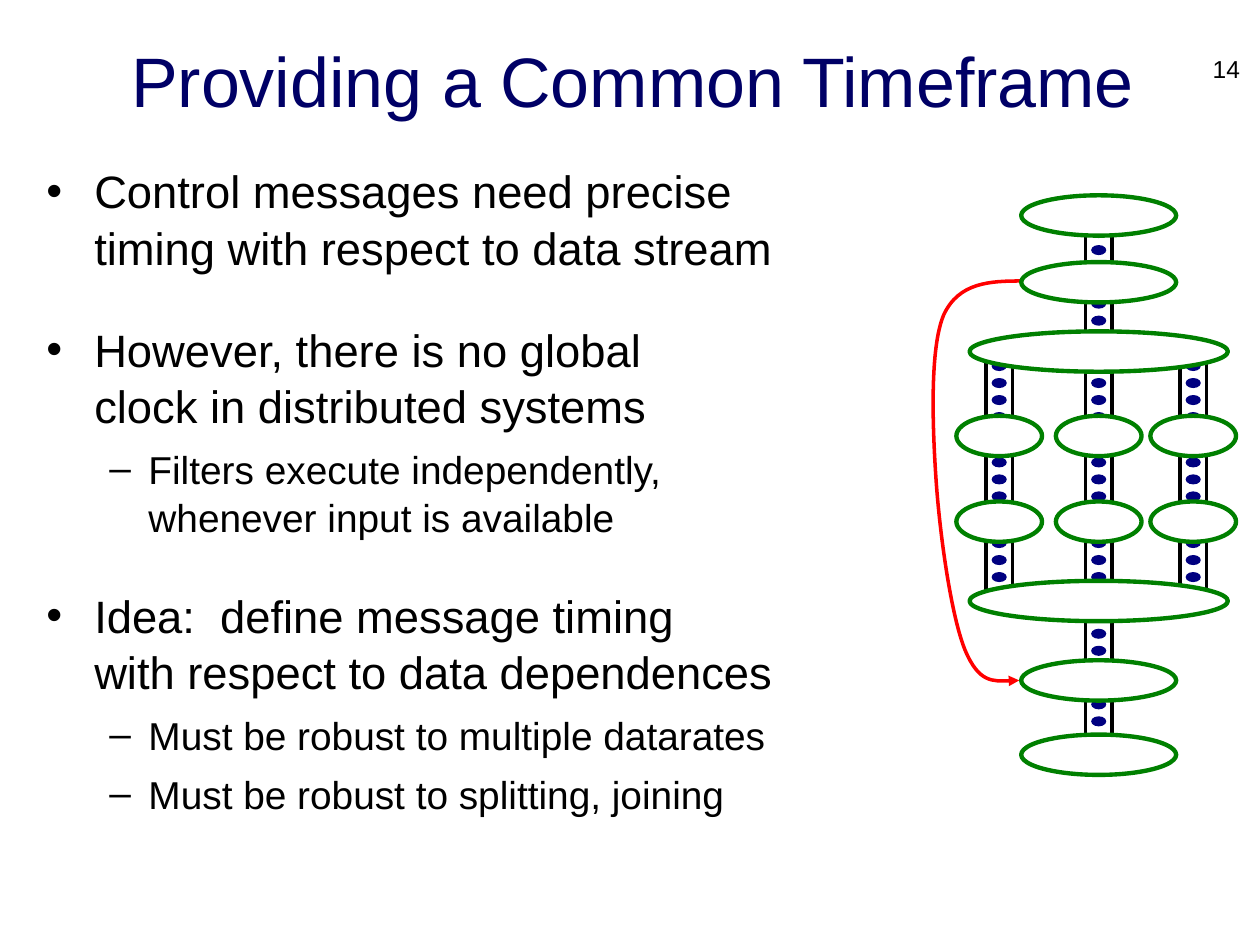
import pptx
import pptx.dml.color
import pptx.enum.shapes
import pptx.enum.text
import pptx.oxml.ns
import pptx.util
from lxml import etree

Inches = pptx.util.Inches
Pt = pptx.util.Pt
RGBColor = pptx.dml.color.RGBColor
SHAPE = pptx.enum.shapes.MSO_SHAPE
ALIGN = pptx.enum.text.PP_ALIGN
ANCHOR = pptx.enum.text.MSO_ANCHOR
qn = pptx.oxml.ns.qn

NAVY = RGBColor(0x00, 0x00, 0x66)
BLACK = RGBColor(0x00, 0x00, 0x00)
WHITE = RGBColor(0xFF, 0xFF, 0xFF)
GREEN = RGBColor(0x00, 0x80, 0x00)
DATA_BLUE = RGBColor(0x00, 0x00, 0x80)
RED = RGBColor(0xFF, 0x00, 0x00)

LEFT, MIDDLE, RIGHT = COLUMNS = (7.93, 8.72, 9.47)
FILTER_HEIGHT = 0.32
FILTER_WIDTH, BRANCH_WIDTH, SPLITTER_WIDTH = 1.23, 0.68, 2.05
DOT_STEP = 0.135

BULLETS = [
    (0, 0, ["Control messages need precise", "timing with respect to data stream"]),
    (0, 26, ["However, there is no global", "clock in distributed systems"]),
    (1, 6, ["Filters execute independently,", "whenever input is available"]),
    (0, 26, ["Idea:  define message timing", "with respect to data dependences"]),
    (1, 6, ["Must be robust to multiple datarates"]),
    (1, 6, ["Must be robust to splitting, joining"]),
]
LEVELS = [("•", 25.9, 0.38, -0.38), ("–", 22.2, 0.81, -0.31)]

CHANNELS = [(MIDDLE, top, 0) for top in (1.66, 2.22)]
CHANNELS += [(x, top, 0) for top in (2.85, 3.48, 4.12) for x in COLUMNS]
CHANNELS += [(MIDDLE, 5.4, 1), (MIDDLE, 4.84, 0)]

FILTERS = [(MIDDLE, top, FILTER_WIDTH) for top in (1.55, 2.08, 5.24, 5.83)]
FILTERS += [(MIDDLE, top, SPLITTER_WIDTH) for top in (2.63, 4.61)]
FILTERS += [(x, top, BRANCH_WIDTH) for top in (3.3, 3.98) for x in COLUMNS]

MESSAGE_START = (8.11, 2.23)
MESSAGE_CURVE = [
    (7.86, 2.23), (7.61, 2.24), (7.49, 2.5),
    (7.38, 2.76), (7.4, 3.37), (7.43, 3.81),
    (7.46, 4.25), (7.55, 4.89), (7.66, 5.16),
    (7.77, 5.42), (7.93, 5.41), (8.09, 5.4),
]


class SlideBuilder:
    font = "Arial"

    def __init__(self, page):
        self.page = page

    def span(self, para, text, size, color):
        span = para.add_run()
        span.text = text
        span.font.name = self.font
        span.font.size = Pt(size)
        span.font.color.rgb = color

    def title(self, text, left, top, width, height):
        box = self.page.shapes.title
        box.left, box.top = Inches(left), Inches(top)
        box.width, box.height = Inches(width), Inches(height)
        frame = box.text_frame
        frame.auto_size = pptx.enum.text.MSO_AUTO_SIZE.NONE
        frame.vertical_anchor = ANCHOR.MIDDLE
        para = frame.paragraphs[0]
        para.alignment = ALIGN.CENTER
        self.span(para, text, 40, NAVY)

    def text_frame(self, left, top, width, height):
        box = self.page.shapes.add_textbox(
            Inches(left), Inches(top), Inches(width), Inches(height))
        box.text_frame.word_wrap = True
        return box.text_frame

    def label(self, text, left, top, width, height):
        para = self.text_frame(left, top, width, height).paragraphs[0]
        para.alignment = ALIGN.RIGHT
        self.span(para, text, 14, BLACK)

    def bullets(self, items, left, top, width, height):
        frame = self.text_frame(left, top, width, height)
        for index, (level, space, lines) in enumerate(items):
            para = frame.add_paragraph() if index else frame.paragraphs[0]
            mark, size, margin, indent = LEVELS[level]
            para.level = level
            properties = para._p.get_or_add_pPr()
            properties.set("marL", str(Inches(margin)))
            properties.set("indent", str(Inches(indent)))
            etree.SubElement(properties, qn("a:buFont"), typeface=self.font)
            etree.SubElement(properties, qn("a:buChar"), char=mark)
            para.line_spacing = 1.04
            para.space_before = Pt(space)
            for number, line in enumerate(lines):
                if number:
                    para.add_line_break()
                self.span(para, line, size, BLACK)

    def shape(self, kind, center, top, width, height, fill, line=None, weight=0):
        shape = self.page.shapes.add_shape(
            kind, Inches(center - width / 2), Inches(top), Inches(width), Inches(height))
        shape.shadow.inherit = False
        shape.fill.solid()
        shape.fill.fore_color.rgb = fill
        if line is None:
            shape.line.fill.background()
        else:
            shape.line.color.rgb = line
            shape.line.width = Pt(weight)

    def channel(self, center, top, first_dot):
        self.shape(SHAPE.RECTANGLE, center, top, 0.21, 0.59, WHITE, BLACK, 2)
        for index in range(first_dot, 6):
            self.shape(SHAPE.OVAL, center, top - 0.12 + index * DOT_STEP,
                       0.12, 0.08, DATA_BLUE)

    def filter(self, center, top, width):
        self.shape(SHAPE.OVAL, center, top, width, FILTER_HEIGHT, WHITE, GREEN, 2.5)

    def curved_arrow(self, start, points):
        builder = self.page.shapes.build_freeform(
            Inches(start[0]), Inches(start[1]))
        builder.add_line_segments(
            [(Inches(x), Inches(y)) for x, y in points], close=False)
        curve = builder.convert_to_shape()
        curve.shadow.inherit = False
        curve.fill.background()
        curve.line.color.rgb = RED
        curve.line.width = Pt(2)
        etree.SubElement(curve.line._get_or_add_ln(), qn("a:tailEnd"), type="triangle")
        segments = list(curve._element.iter(qn("a:lnTo")))
        outline = segments[0].getparent()
        for first in range(0, len(segments), 3):
            bezier = etree.SubElement(outline, qn("a:cubicBezTo"))
            for segment in segments[first:first + 3]:
                bezier.append(segment[0])
                outline.remove(segment)


def main():
    deck = pptx.Presentation()
    deck.slide_width, deck.slide_height = Inches(10), Inches(7.5)
    slide = SlideBuilder(deck.slides.add_slide(deck.slide_layouts[5]))
    slide.title("Providing a Common Timeframe", 0.29, 0.19, 9.46, 0.88)
    slide.bullets(BULLETS, 0.27, 1.23, 9.47, 5.75)
    slide.curved_arrow(MESSAGE_START, MESSAGE_CURVE)
    for channel in CHANNELS:
        slide.channel(*channel)
    for stage in FILTERS:
        slide.filter(*stage)
    slide.label("14", 9.46, 0.38, 0.48, 0.3)
    deck.save("out.pptx")


if __name__ == "__main__":
    main()
